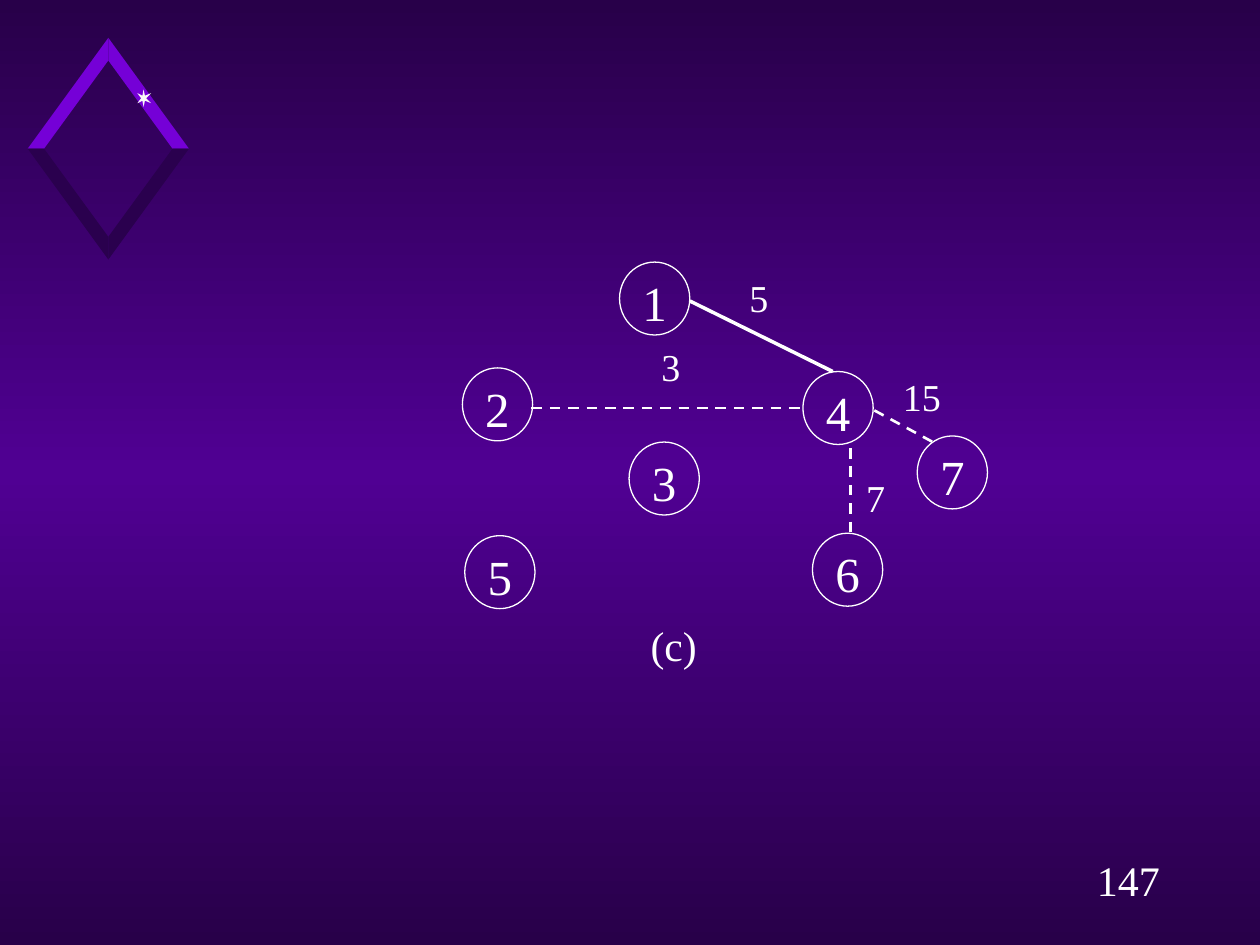
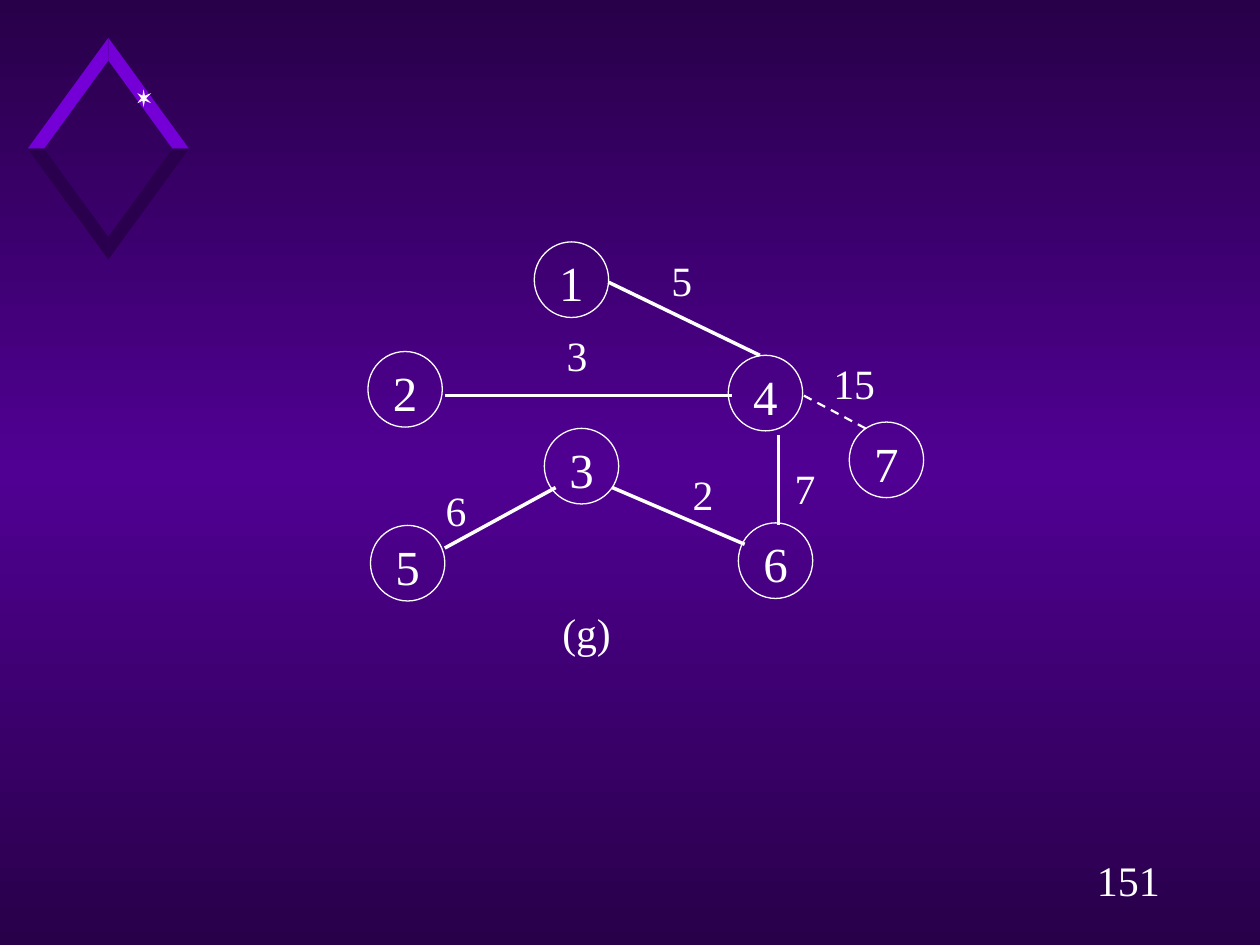
import pptx
import pptx.util
import pptx.dml.color
import pptx.enum.dml
import pptx.enum.shapes
import pptx.enum.text
import pptx.oxml.ns
import copy
import lxml.etree

Inches, Pt = pptx.util.Inches, pptx.util.Pt
qn = pptx.oxml.ns.qn
FONT = "Times New Roman"
WHITE, DARK, MID = "FFFFFF", "280049", "500093"
ROOF, SHADE, STAR = "7500D7", "2A004E", "F9F9F9"

# Places are relative to the graph box, at full scale.
NODE, LABEL = (0.59, 0.6), (0.54, 0.4)
NODES = {
    "1": (1.32, 0), "2": (0, 0.87), "3": (1.4, 1.48), "4": (2.86, 0.9),
    "5": (0.02, 2.25), "6": (2.94, 2.23), "7": (3.82, 1.43),
}
# Edge: start, end, weight, place of the weight
EDGES = {
    "1-4": ((1.91, 0.32), (3.11, 0.9), "5", (2.22, 0.1)),
    "2-4": ((0.61, 1.22), (2.89, 1.22), "3", (1.39, 0.7)),
    "2-4 short": ((0.58, 1.2), (2.84, 1.2), "3", (1.48, 0.67)),
    "3-5": ((0.61, 2.43), (1.49, 1.95), "6", (0.43, 1.93)),
    "3-6": ((1.94, 1.95), (2.99, 2.4), "2", (2.39, 1.8)),
    "4-6": ((3.26, 1.53), (3.26, 2.25), "7", (3.2, 1.75)),
    "4-7": ((3.46, 1.22), (3.95, 1.48), "15", (3.59, 0.92)),
}


def color(code):
    return pptx.dml.color.RGBColor.from_string(code)


def write(shape, text, size, inset=(0, 0)):
    frame = shape.text_frame
    frame.word_wrap = True
    frame.vertical_anchor = pptx.enum.text.MSO_ANCHOR.TOP
    frame.margin_left = frame.margin_right = Inches(inset[0])
    frame.margin_top = frame.margin_bottom = Inches(inset[1])
    frame.text = text
    para = frame.paragraphs[0]
    para.alignment = pptx.enum.text.PP_ALIGN.CENTER
    font = para.runs[0].font
    font.name, font.size = FONT, Pt(size)
    font.color.rgb = color(WHITE)


def label(slide, text, box, size, inset=(0, 0)):
    write(slide.shapes.add_textbox(*map(Inches, box)), text, size, inset)


def node(slide, text, box):
    kind = pptx.enum.shapes.MSO_SHAPE.OVAL
    shape = slide.shapes.add_shape(kind, *map(Inches, box))
    shape.shadow.inherit = False
    shape.fill.background()
    shape.line.color.rgb = color(WHITE)
    shape.line.width = Pt(0.75)
    write(shape, text, 28)


def edge(slide, start, end, width, dashed):
    kind = pptx.enum.shapes.MSO_CONNECTOR.STRAIGHT
    line = slide.shapes.add_connector(kind, *map(Inches, (*start, *end)))
    lxml.etree.SubElement(line.line._get_or_add_ln().getparent(), qn("a:effectLst"))
    line.line.color.rgb = color(WHITE)
    line.line.width = Pt(width)
    if dashed:
        line.line.dash_style = pptx.enum.dml.MSO_LINE.DASH


def outline(slide, points, fill):
    spots = [(Inches(x), Inches(y)) for x, y in points]
    form = slide.shapes.build_freeform(*spots[0], scale=1.0)
    form.add_line_segments(spots[1:], close=True)
    shape = form.convert_to_shape()
    shape.shadow.inherit = False
    shape.fill.solid()
    shape.fill.fore_color.rgb = color(fill)
    shape.line.fill.background()


def emblem(slide, x, y):
    """Diamond frame of four mirrored bars, with a star, centred on x, y."""
    bar = [(0, 0.7), (0, 0.88), (0.64, 0), (0.51, 0)]
    for down, fill in ((-1, ROOF), (1, SHADE)):
        for side in (1, -1):
            outline(slide, [(x + side * a, y + down * b) for a, b in bar], fill)
    star = [(-0.05, -0.04), (-0.01, -0.02), (0, -0.07), (0.01, -0.02),
            (0.06, -0.04), (0.02, 0), (0.06, 0.04), (0.01, 0.02),
            (0, 0.07), (-0.01, 0.02), (-0.05, 0.04), (-0.02, 0)]
    outline(slide, [(x + 0.28 + a, y - 0.4 + b) for a, b in star], STAR)


def graph(slide, left, top, scale, size, edges, title, spot):
    """Draw the nodes, the chosen edges with their weights, and the title."""
    kx, ky = scale

    def place(point):
        return left + kx * point[0], top + ky * point[1]

    def box(point, area):
        return *place(point), kx * area[0], ky * area[1]

    for name, (width, dashed) in edges.items():
        start, end, weight, at = EDGES[name]
        label(slide, weight, box(at, LABEL), size)
        edge(slide, place(start), place(end), width, dashed)
    for name, point in NODES.items():
        node(slide, name, box(point, NODE))
    label(slide, title, box(spot, (0.93, 0.43)), 23.8)


def backdrop(master):
    fill = master.background.fill
    fill.gradient()
    fill.gradient_angle = 270
    stops = next(master.element.iter(qn("a:gsLst")))
    stops.append(copy.deepcopy(stops[-1]))
    for stop, (at, code) in zip(fill.gradient_stops, ((0, DARK), (0.5, MID), (1, DARK))):
        stop.position = at
        stop.color.rgb = color(code)


def page(deck, number):
    slide = deck.slides.add_slide(deck.slide_layouts[6])
    emblem(slide, 0.86, 1.18)
    label(slide, number, (8.58, 6.73, 0.75, 0.5), 24, (0.1, 0.05))
    return slide


def main():
    deck = pptx.Presentation()
    deck.slide_width, deck.slide_height = Inches(10), Inches(7.5)
    backdrop(deck.slide_master)
    solid, dash, thin = (2, False), (1.5, True), (1.25, True)
    graph(page(deck, "147"), 3.67, 2.08, (0.945, 0.965), 21.7,
          {"1-4": solid, "2-4 short": dash, "4-6": dash, "4-7": dash},
          "(c)", (1.31, 2.94))
    graph(page(deck, "151"), 2.92, 1.92, (1, 1), 23.8,
          {"1-4": solid, "2-4": solid, "3-5": solid, "3-6": solid,
           "4-6": solid, "4-7": thin},
          "(g)", (1.27, 2.9))
    deck.save("out.pptx")


if __name__ == "__main__":
    main()
